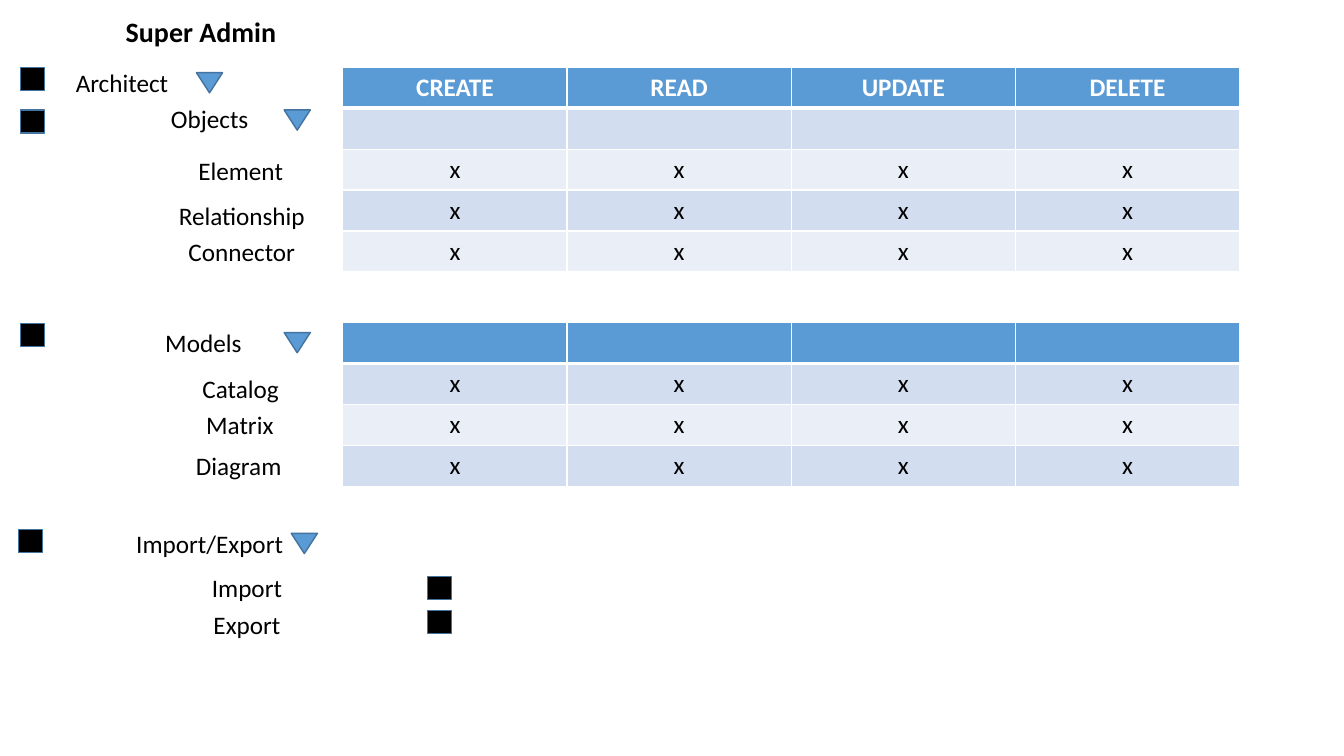
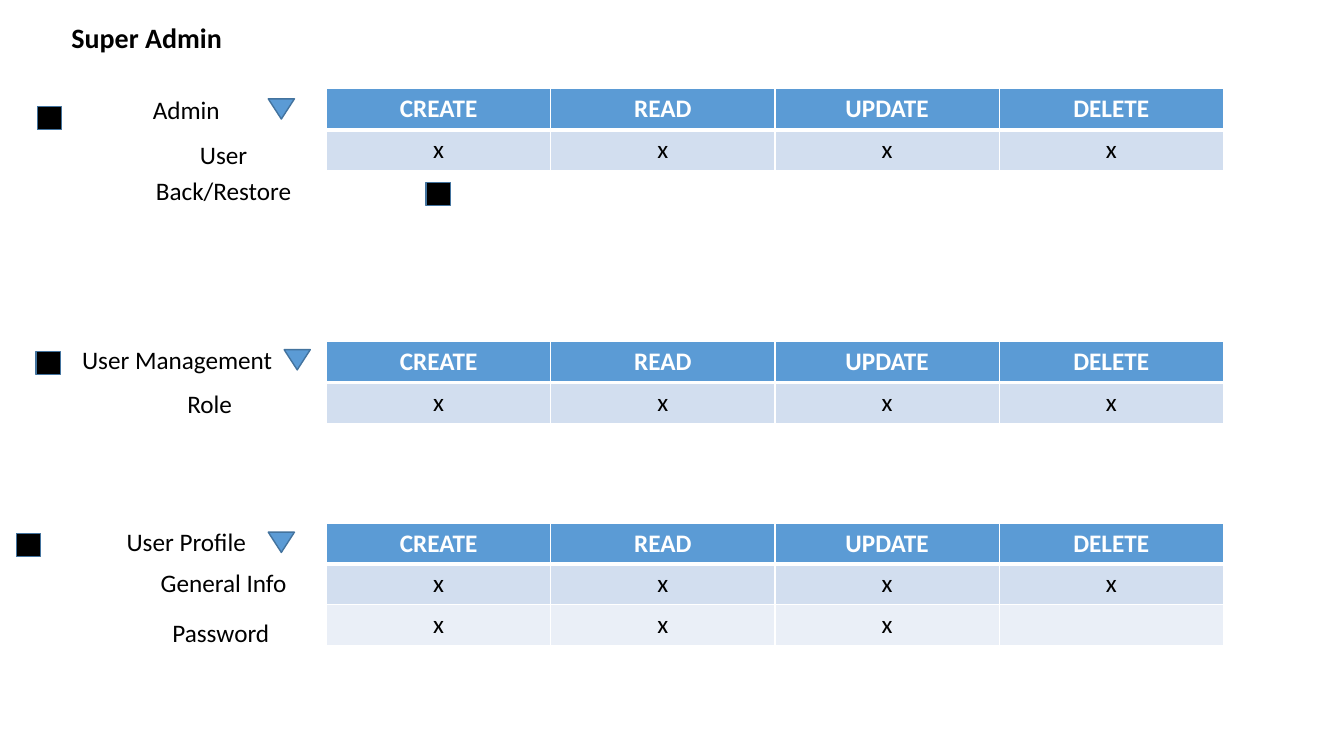
"""Build two slides of Super Admin permission grids."""
from dataclasses import dataclass
from typing import NamedTuple

from lxml.etree import Element, SubElement
from pptx import Presentation
from pptx.dml.color import RGBColor
from pptx.enum.shapes import MSO_SHAPE as Preset
from pptx.enum.text import MSO_AUTO_SIZE as AutoSize, PP_ALIGN as Align
from pptx.oxml.ns import qn
from pptx.slide import Slide
from pptx.text.text import _Paragraph as Paragraph
from pptx.util import Cm, Pt

COLORS = {
    "text": "000000",
    "white": "FFFFFF",
    "accent": "5B9BD5",
    "outline": "43739E",
    "band_dark": "D2DEEF",
    "band_light": "EAEFF7",
}
FONT = "Calibri"
BODY_SIZE, TITLE_SIZE = 18, 20
LABEL_SIZE = (5.89, 1.02)
TITLE_BOX = (6.05, 1.11)
COLUMN_WIDTH, ROW_HEIGHT = 5.65, 1.03
ACTIONS = ("CREATE", "READ", "UPDATE", "DELETE")
NO_ACTIONS = ("",) * len(ACTIONS)
ALL = ("x",) * len(ACTIONS)
NO_DELETE = ("x", "x", "x", "")


class Point(NamedTuple):
    left: float
    top: float


class Label(NamedTuple):
    text: str
    left: float
    top: float


@dataclass(frozen=True)
class MarkStyle:
    preset: Preset
    size: tuple[float, float]
    fill: str
    rotation: int = 0


@dataclass(frozen=True)
class Grid:
    left: float
    top: float
    rows: tuple[tuple[str, ...], ...]


@dataclass(frozen=True)
class Page:
    title: Point
    labels: tuple[Label, ...]
    grids: tuple[Grid, ...]
    arrows: tuple[Point, ...]
    checkboxes: tuple[Point, ...]


ARROW = MarkStyle(Preset.ISOSCELES_TRIANGLE, (0.66, 0.51), "accent", 180)
CHECKBOX = MarkStyle(Preset.RECTANGLE, (0.61, 0.58), "text")

PAGES = (
    Page(
        title=Point(2.92, 0.25),
        labels=(
            Label("Architect", 0.13, 1.57),
            Label("Objects", 2.34, 2.49),
            Label("Element", 3.12, 3.78),
            Label("Relationship", 3.15, 4.93),
            Label("Connector", 3.15, 5.84),
            Label("Models", 2.18, 8.13),
            Label("Catalog", 3.12, 9.27),
            Label("Matrix", 3.1, 10.19),
            Label("Diagram", 3.07, 11.23),
            Label("Import/Export", 2.34, 13.18),
            Label("Import", 3.28, 14.3),
            Label("Export", 3.28, 15.24),
        ),
        grids=(
            Grid(8.64, 1.7, (ACTIONS, NO_ACTIONS, ALL, ALL, ALL)),
            Grid(8.64, 8.13, (NO_ACTIONS, ALL, ALL, ALL)),
        ),
        arrows=(Point(4.95, 1.83), Point(7.16, 2.77), Point(7.16, 8.38), Point(7.34, 13.44)),
        checkboxes=(
            Point(0.51, 1.7), Point(0.51, 2.77), Point(0.51, 8.15),
            Point(0.46, 13.34), Point(10.77, 14.53), Point(10.77, 15.39),
        ),
    ),
    Page(
        title=Point(1.55, 0.38),
        labels=(
            Label("Admin", 1.75, 2.24),
            Label("User", 2.69, 3.38),
            Label("Back/Restore", 2.69, 4.29),
            Label("User Management", 1.52, 8.56),
            Label("Role", 2.34, 9.65),
            Label("User Profile", 1.75, 13.13),
            Label("General Info", 2.69, 14.17),
            Label("Password", 2.62, 15.42),
        ),
        grids=(
            Grid(8.23, 2.24, (ACTIONS, ALL)),
            Grid(8.23, 8.61, (ACTIONS, ALL)),
            Grid(8.23, 13.18, (ACTIONS, ALL, NO_DELETE)),
        ),
        arrows=(Point(6.76, 2.49), Point(7.16, 8.81), Point(6.76, 13.41)),
        checkboxes=(
            Point(0.94, 2.69), Point(10.74, 4.6),
            Point(0.91, 8.86), Point(0.41, 13.44),
        ),
    ),
)


def rgb(name: str) -> RGBColor:
    return RGBColor.from_string(COLORS[name])


def add_span(para: Paragraph, text: str, size: int = BODY_SIZE,
             color: str = "text", bold: bool = False) -> None:
    span = para.add_run()
    span.text = text
    span.font.name = FONT
    span.font.size = Pt(size)
    span.font.bold = bold
    span.font.color.rgb = rgb(color)


def add_text(slide: Slide, label: Label, extent: tuple[float, float],
             align: Align, size: int = BODY_SIZE, bold: bool = False) -> None:
    box = slide.shapes.add_textbox(Cm(label.left), Cm(label.top), *map(Cm, extent))
    box.text_frame.word_wrap = True
    box.text_frame.auto_size = AutoSize.SHAPE_TO_FIT_TEXT
    para = box.text_frame.paragraphs[0]
    para.alignment = align
    add_span(para, label.text, size, bold=bold)


def add_mark(slide: Slide, point: Point, style: MarkStyle) -> None:
    mark = slide.shapes.add_shape(
        style.preset, Cm(point.left), Cm(point.top), *map(Cm, style.size))
    mark.shadow.inherit = False
    mark.rotation = style.rotation
    mark.fill.solid()
    mark.fill.fore_color.rgb = rgb(style.fill)
    mark.line.color.rgb = rgb("outline")
    mark.line.width = Pt(1)


def set_borders(cell, top: int, bottom: int) -> None:
    properties = cell._tc.get_or_add_tcPr()
    widths = {"lnL": 1, "lnR": 1, "lnT": top, "lnB": bottom}
    for position, (side, width) in enumerate(widths.items()):
        line = Element(qn(f"a:{side}"), w=str(Pt(width)))
        fill = SubElement(line, qn("a:solidFill"))
        SubElement(fill, qn("a:srgbClr"), val=COLORS["white"])
        properties.insert(position, line)


def add_grid(slide: Slide, grid: Grid) -> None:
    row_count, column_count = len(grid.rows), len(ACTIONS)
    table = slide.shapes.add_table(
        row_count, column_count, Cm(grid.left), Cm(grid.top),
        Cm(COLUMN_WIDTH * column_count), Cm(ROW_HEIGHT * row_count)).table
    for column in table.columns:
        column.width = Cm(COLUMN_WIDTH)
    for row_index, values in enumerate(grid.rows):
        table.rows[row_index].height = Cm(ROW_HEIGHT)
        header = row_index == 0
        band = "accent" if header else ("band_light", "band_dark")[row_index % 2]
        for column_index, value in enumerate(values):
            cell = table.cell(row_index, column_index)
            cell.fill.solid()
            cell.fill.fore_color.rgb = rgb(band)
            set_borders(cell, top=3 if row_index == 1 else 1, bottom=3 if header else 1)
            para = cell.text_frame.paragraphs[0]
            para.alignment = Align.CENTER
            if value:
                add_span(para, value, color="white" if header else "text", bold=header)


def add_page(deck, page: Page) -> None:
    slide = deck.slides.add_slide(deck.slide_layouts[6])
    title = Label("Super Admin", *page.title)
    add_text(slide, title, TITLE_BOX, Align.LEFT, TITLE_SIZE, bold=True)
    for label in page.labels:
        add_text(slide, label, LABEL_SIZE, Align.CENTER)
    for grid in page.grids:
        add_grid(slide, grid)
    for style, points in ((ARROW, page.arrows), (CHECKBOX, page.checkboxes)):
        for point in points:
            add_mark(slide, point, style)


def main() -> None:
    deck = Presentation()
    deck.slide_width, deck.slide_height = Cm(33.87), Cm(19.05)
    for page in PAGES:
        add_page(deck, page)
    deck.save("out.pptx")


main()
